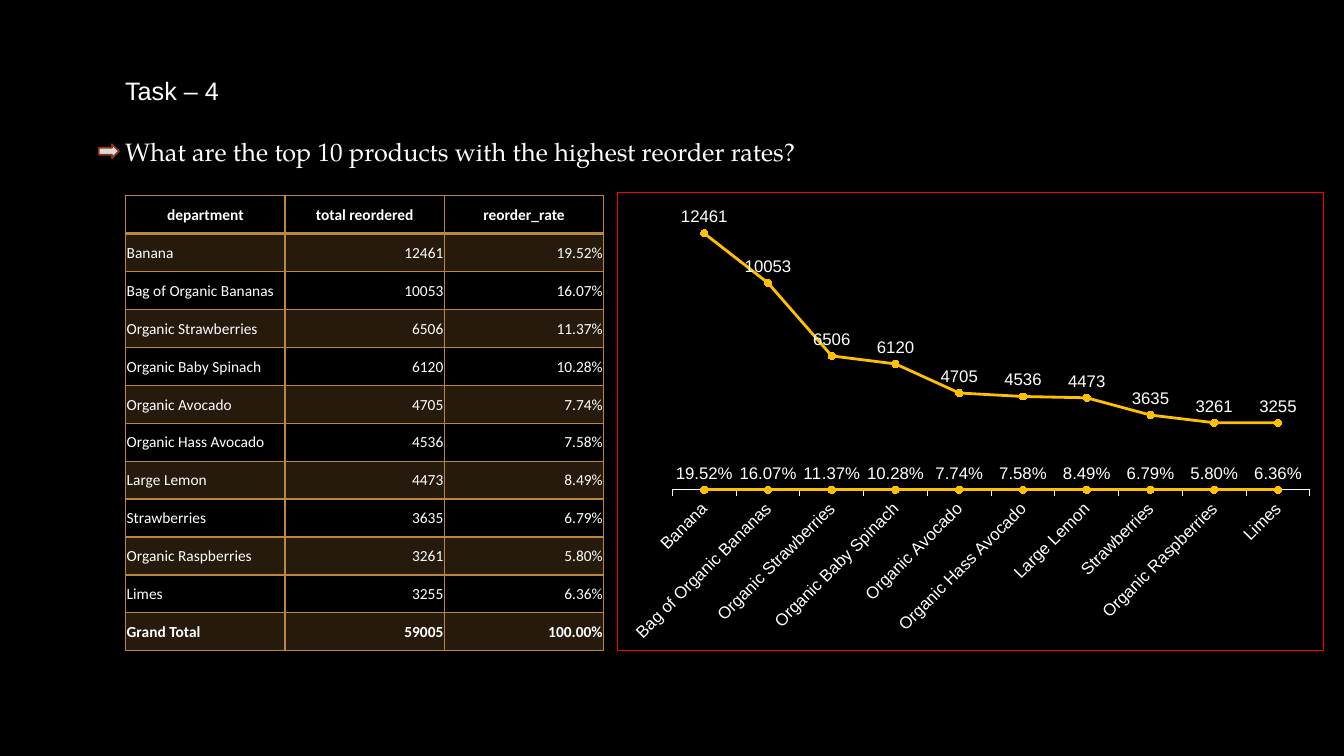
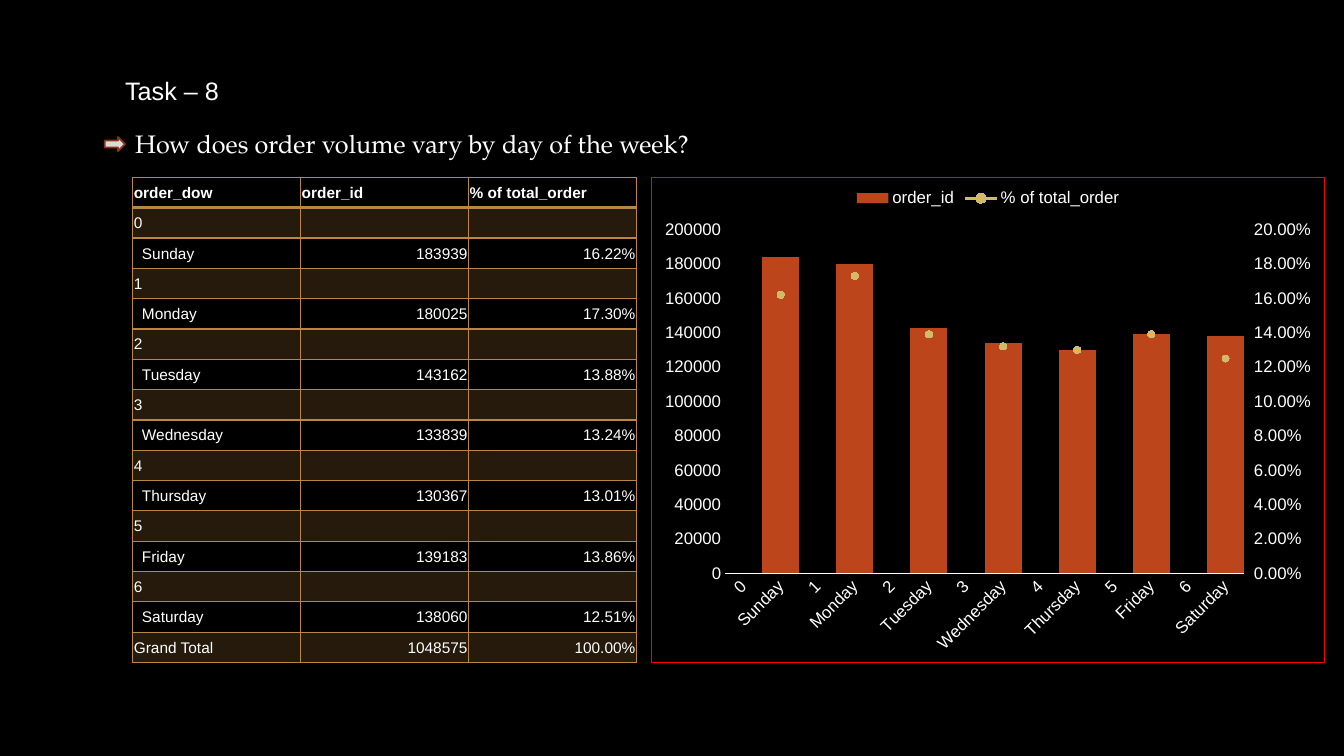
from pptx import Presentation
from pptx import util as u
from pptx.chart import axis as ax
from pptx.chart import data as cd
from pptx.dml import color
from pptx.enum import chart as ch, shapes, text
from pptx.oxml import parse_xml
from pptx.oxml import ns

WHITE, BLACK, GOLD, RED = "FFFFFF", "000000", "BB8640", "FF0000"
AMBER, RUST, SAND = "FFC000", "BC451B", "D3BA68"
CENTER, LEFT, RIGHT = text.PP_ALIGN.CENTER, text.PP_ALIGN.LEFT, text.PP_ALIGN.RIGHT
Pt = u.Pt


def rgb(hex_code):
    return color.RGBColor.from_string(hex_code)


def set_font(font, size, name="Arial", bold=False):
    font.size, font.name, font.bold = Pt(size), name, bold
    font.color.rgb = rgb(WHITE)


products = [
    ("department", "total reordered", "reorder_rate"),
    ("Banana", "12461", "19.52%"),
    ("Bag of Organic Bananas", "10053", "16.07%"),
    ("Organic Strawberries", "6506", "11.37%"),
    ("Organic Baby Spinach", "6120", "10.28%"),
    ("Organic Avocado", "4705", "7.74%"),
    ("Organic Hass Avocado", "4536", "7.58%"),
    ("Large Lemon", "4473", "8.49%"),
    ("Strawberries", "3635", "6.79%"),
    ("Organic Raspberries", "3261", "5.80%"),
    ("Limes", "3255", "6.36%"),
    ("Grand Total", "59005", "100.00%"),
]
weekdays = [
    ("Sunday", "183939", "16.22%"),
    ("Monday", "180025", "17.30%"),
    ("Tuesday", "143162", "13.88%"),
    ("Wednesday", "133839", "13.24%"),
    ("Thursday", "130367", "13.01%"),
    ("Friday", "139183", "13.86%"),
    ("Saturday", "138060", "12.51%"),
]
orders = [("order_dow", "order_id", "% of total_order")]
for number, weekday in enumerate(weekdays):
    orders += [(str(number), "", ""), weekday]
orders.append(("Grand Total", "1048575", "100.00%"))
indented = [weekday[0] for weekday in weekdays]

tasks = [
    dict(title="Task – 4",
         question="What are the top 10 products with the highest reorder rates?",
         question_at=(82.3, 93.6, 535.7, 28.8), arrow_at=(70.6, 103),
         rows=products, table_at=(89.8, 139.7, 341.5, 325.2),
         table_font="Calibri", header_align=CENTER, bold_total=True,
         chart_at=(440.6, 137.2, 505.5, 328), count_digits=0, share_digits=4,
         chart_type=ch.XL_CHART_TYPE.LINE_MARKERS),
    dict(title="Task – 8",
         question="How does order volume vary by day of the week?",
         question_at=(89.5, 88.1, 417.6, 28.8), arrow_at=(74.9, 97.9),
         rows=orders, table_at=(94.9, 126.7, 359.8, 346.8),
         table_font="Arial", header_align=LEFT, bold_total=False,
         chart_at=(465.1, 126.7, 481.3, 346.8), count_digits=-3, share_digits=3,
         chart_type=ch.XL_CHART_TYPE.COLUMN_CLUSTERED),
]

deck = Presentation()
deck.slide_width, deck.slide_height = Pt(960), Pt(540)
charts = []

for task in tasks:
    slide = deck.slides.add_slide(deck.slide_layouts[6])
    slide.background.fill.solid()
    slide.background.fill.fore_color.rgb = rgb(BLACK)

    for words, place, face in (
        (task["title"], (82.3, 50.2, 165, 28.8), "Arial"),
        (task["question"], task["question_at"], "TeX Gyre Pagella"),
    ):
        frame = slide.shapes.add_textbox(*map(Pt, place)).text_frame
        frame.word_wrap = True
        frame.auto_size = text.MSO_AUTO_SIZE.SHAPE_TO_FIT_TEXT
        run = frame.paragraphs[0].add_run()
        run.text = words
        set_font(run.font, 18, face)

    arrow = slide.shapes.add_shape(
        shapes.MSO_SHAPE.RIGHT_ARROW, *map(Pt, (*task["arrow_at"], 14.4, 10)))
    arrow.shadow.inherit = False
    arrow.fill.solid()
    arrow.fill.fore_color.rgb = rgb("DADADA")
    arrow.line.color.rgb = rgb("8B3314")
    arrow.line.width = Pt(1.25)

    rows = task["rows"]
    last = len(rows) - 1
    table = slide.shapes.add_table(
        len(rows), 3, *map(Pt, task["table_at"])).table
    for column in table.columns:
        column.width = Pt(task["table_at"][2] / 3)
    for r, row in enumerate(rows):
        table.rows[r].height = Pt(task["table_at"][3] / len(rows))
        for c, words in enumerate(row):
            cell = table.cell(r, c)
            cell.vertical_anchor = text.MSO_ANCHOR.MIDDLE
            cell.margin_left = Pt(6.5 if words in indented else 0.7)
            cell.margin_right = cell.margin_top = Pt(0.7)
            cell.margin_bottom = Pt(0)
            paragraph = cell.text_frame.paragraphs[0]
            if r == 0:
                paragraph.alignment = task["header_align"]
            else:
                paragraph.alignment = RIGHT if c else LEFT
            if words:
                run = paragraph.add_run()
                run.text = words
                bold = r == 0 or (r == last and task["bold_total"])
                set_font(run.font, 11, task["table_font"], bold)
            else:
                paragraph._p.append(parse_xml(
                    f'<a:endParaRPr {ns.nsdecls("a")} sz="1100"/>'))
            properties = cell._tc.get_or_add_tcPr()
            if r % 2:
                cell.fill.solid()
                cell.fill.fore_color.rgb = rgb(GOLD)
                properties.xpath("a:solidFill/a:srgbClr")[0].append(parse_xml(
                    f'<a:alpha {ns.nsdecls("a")} val="20000"/>'))
            else:
                cell.fill.background()
            for place, side in enumerate("LRTB"):
                thick = (r, side) in ((0, "B"), (1, "T"))
                properties.insert(place, parse_xml(
                    f'<a:ln{side} {ns.nsdecls("a")} w="{Pt(2 if thick else 1)}">'
                    f'<a:solidFill><a:srgbClr val="{GOLD}"/></a:solidFill>'
                    f'</a:ln{side}>'))

    body = rows[1:-1]
    figures = cd.CategoryChartData()
    figures.categories = [row[0] for row in body]
    figures.add_series(
        rows[0][1],
        [round(int(row[1]), task["count_digits"]) if row[1] else None
         for row in body], "General")
    figures.add_series(
        rows[0][2],
        [round(float(row[2].rstrip("%")) / 100, task["share_digits"])
         if row[2] else None for row in body], "0.00%")
    chart = slide.shapes.add_chart(
        task["chart_type"], *map(Pt, task["chart_at"]), figures).chart
    charts.append(chart)
    chart.has_title = chart.has_legend = False
    set_font(chart.font, 10)
    chart.plots[0].vary_by_categories = False
    space = chart.element
    if not space.xpath("c:roundedCorners"):
        space.xpath("c:date1904")[0].addnext(parse_xml(
            f'<c:roundedCorners {ns.nsdecls("c")} val="0"/>'))
    space.xpath("c:chart")[0].addnext(parse_xml(
        f'<c:spPr {ns.nsdecls("c", "a")}><a:noFill/><a:ln w="{Pt(0.75)}">'
        f'<a:solidFill><a:srgbClr val="{RED}"/></a:solidFill></a:ln></c:spPr>'))

    names = chart.category_axis
    set_font(names.tick_labels.font, 12)
    names.format.line.color.rgb = rgb(WHITE)
    names.format.line.width = Pt(0.75)
    names.major_tick_mark = ch.XL_TICK_MARK.NONE
    space.xpath("c:chart/c:plotArea/c:catAx/c:txPr/a:bodyPr")[0].set(
        "rot", "-2700000")
    chart.value_axis.has_major_gridlines = False

reorders, volume = charts

reorders.category_axis.major_tick_mark = ch.XL_TICK_MARK.OUTSIDE
reorders.value_axis.visible = False
for series, pattern in zip(reorders.plots[0].series, ("General", "0.00%")):
    labels = series.data_labels
    labels.show_value = True
    labels.position = ch.XL_LABEL_POSITION.ABOVE
    labels.number_format, labels.number_format_is_linked = pattern, False
    set_font(labels.font, 12)

volume.has_legend = True
volume.legend.position = ch.XL_LEGEND_POSITION.TOP
volume.legend.include_in_layout = False
set_font(volume.legend.font, 12)
bars = volume.plots[0]
bars.gap_width = 0
bars.series[0].format.fill.solid()
bars.series[0].format.fill.fore_color.rgb = rgb(RUST)

left_scale = volume.value_axis
left_scale.major_tick_mark = ch.XL_TICK_MARK.NONE
area = volume.element.xpath("c:chart/c:plotArea")[0]
share = area.xpath("c:barChart/c:ser")[1]
for flag in share.xpath("c:invertIfNegative"):
    share.remove(flag)
share_plot = parse_xml(
    f'<c:lineChart {ns.nsdecls("c")}><c:grouping val="standard"/>'
    '<c:varyColors val="0"/><c:marker val="1"/>'
    '<c:axId val="5001"/><c:axId val="5002"/></c:lineChart>')
share_plot.insert(2, share)
area.xpath("c:barChart")[0].addnext(share_plot)
hidden_names = parse_xml(
    f'<c:catAx {ns.nsdecls("c")}><c:axId val="5001"/>'
    '<c:scaling><c:orientation val="minMax"/></c:scaling>'
    '<c:delete val="1"/><c:axPos val="b"/>'
    '<c:crossAx val="5002"/><c:crosses val="autoZero"/></c:catAx>')
right_scale = parse_xml(
    f'<c:valAx {ns.nsdecls("c")}><c:axId val="5002"/>'
    '<c:scaling><c:orientation val="minMax"/></c:scaling>'
    '<c:delete val="0"/><c:axPos val="r"/>'
    '<c:numFmt formatCode="0.00%" sourceLinked="0"/>'
    '<c:majorTickMark val="out"/><c:minorTickMark val="none"/>'
    '<c:tickLblPos val="nextTo"/><c:crossAx val="5001"/>'
    '<c:crosses val="max"/><c:crossBetween val="between"/></c:valAx>')
area.xpath("c:valAx")[0].addnext(hidden_names)
hidden_names.addnext(right_scale)

for scale, top in ((left_scale, 200000), (ax.ValueAxis(right_scale), 0.2)):
    scale.minimum_scale, scale.maximum_scale = 0, top
    scale.major_unit = top / 10
    scale.format.line.fill.background()
    set_font(scale.tick_labels.font, 12)

first, second = reorders.plots[0].series
for series, tone, width in (
    (first, AMBER, 2), (second, AMBER, 2.25),
    (volume.plots[1].series[0], SAND, 2.25),
):
    series.smooth = False
    series.format.line.color.rgb = rgb(tone)
    series.format.line.width = Pt(width)
    series.marker.style = ch.XL_MARKER_STYLE.CIRCLE
    series.marker.size = 5
    series.marker.format.fill.solid()
    series.marker.format.fill.fore_color.rgb = rgb(tone)
    series.marker.format.line.color.rgb = rgb(tone)

deck.save("out.pptx")
